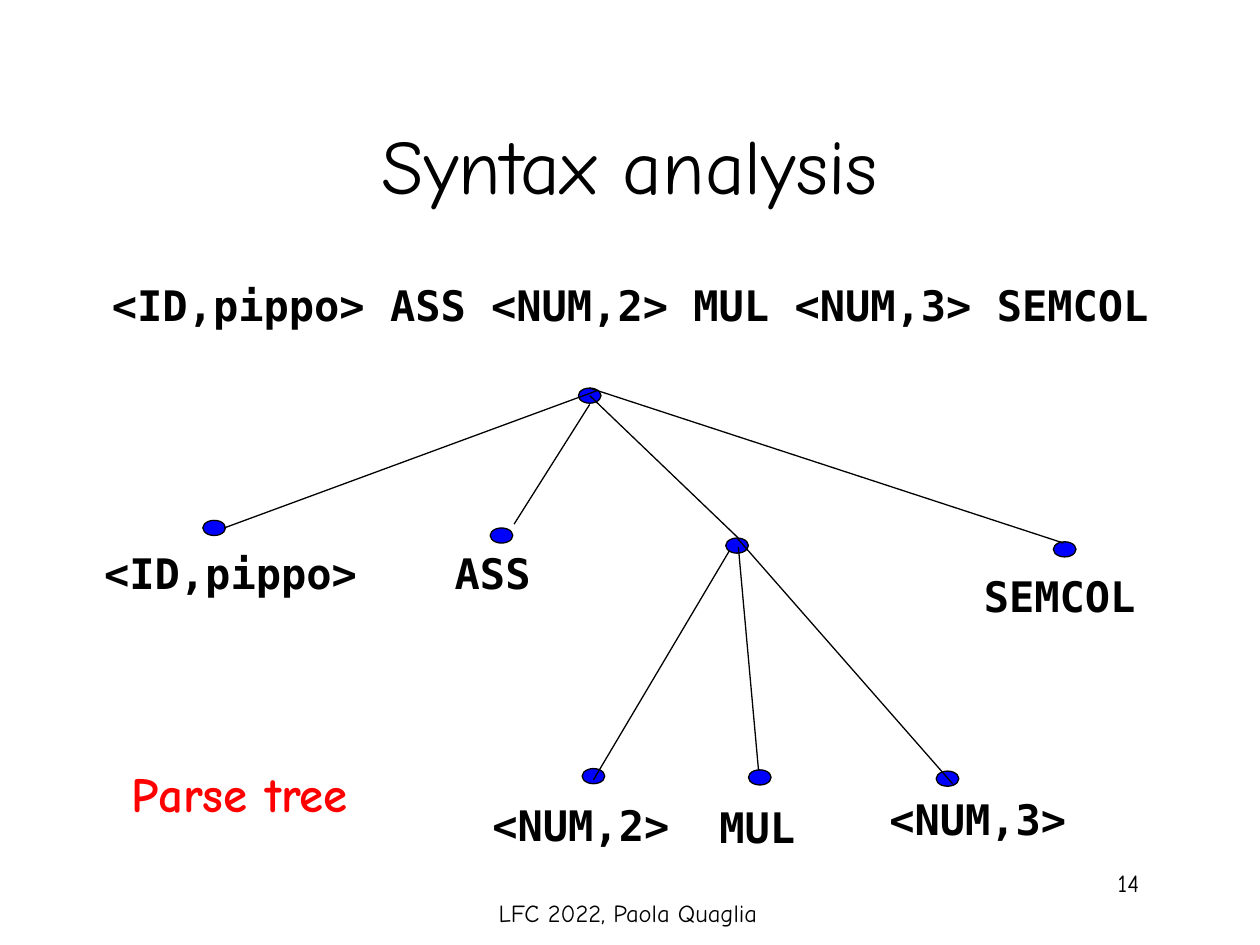
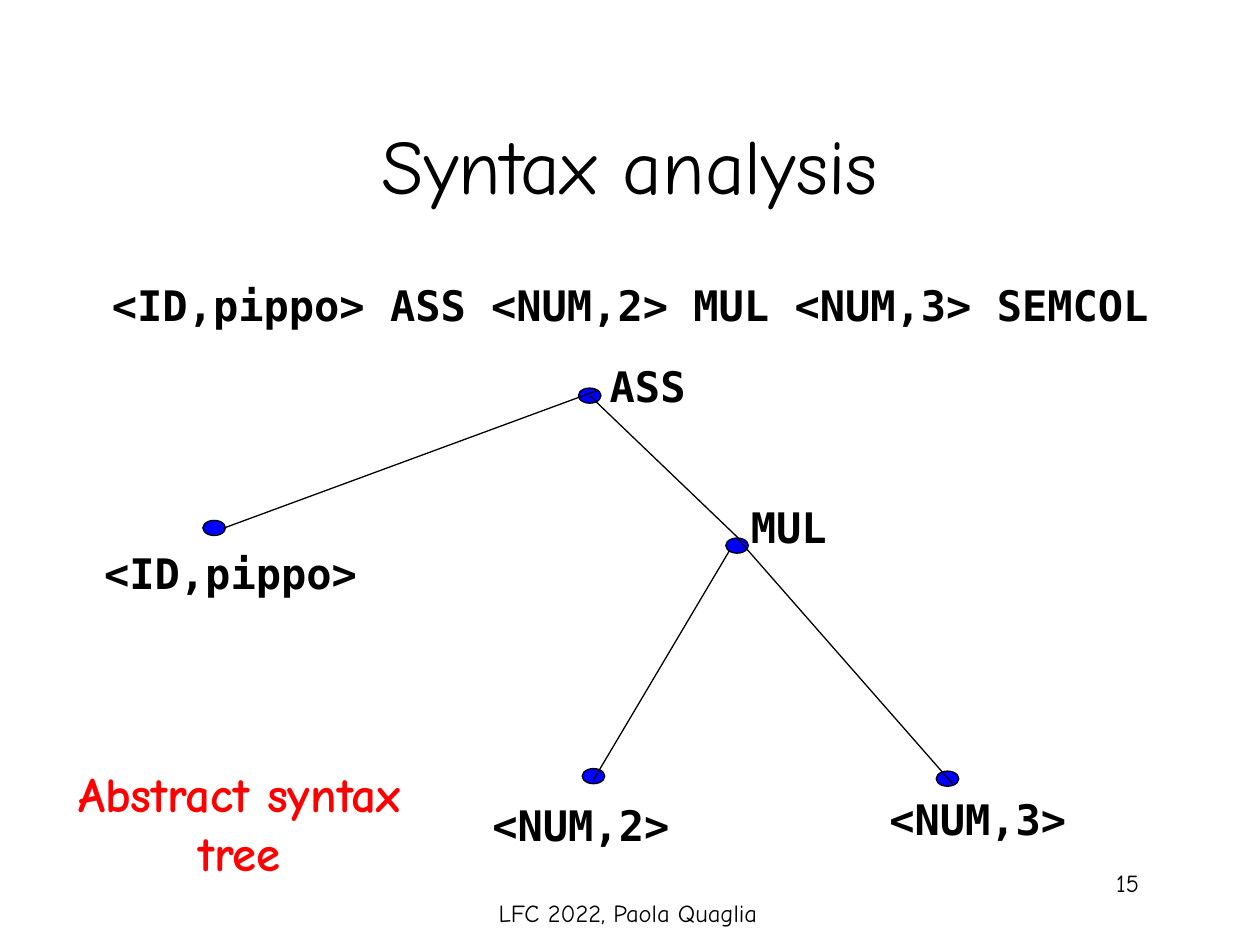
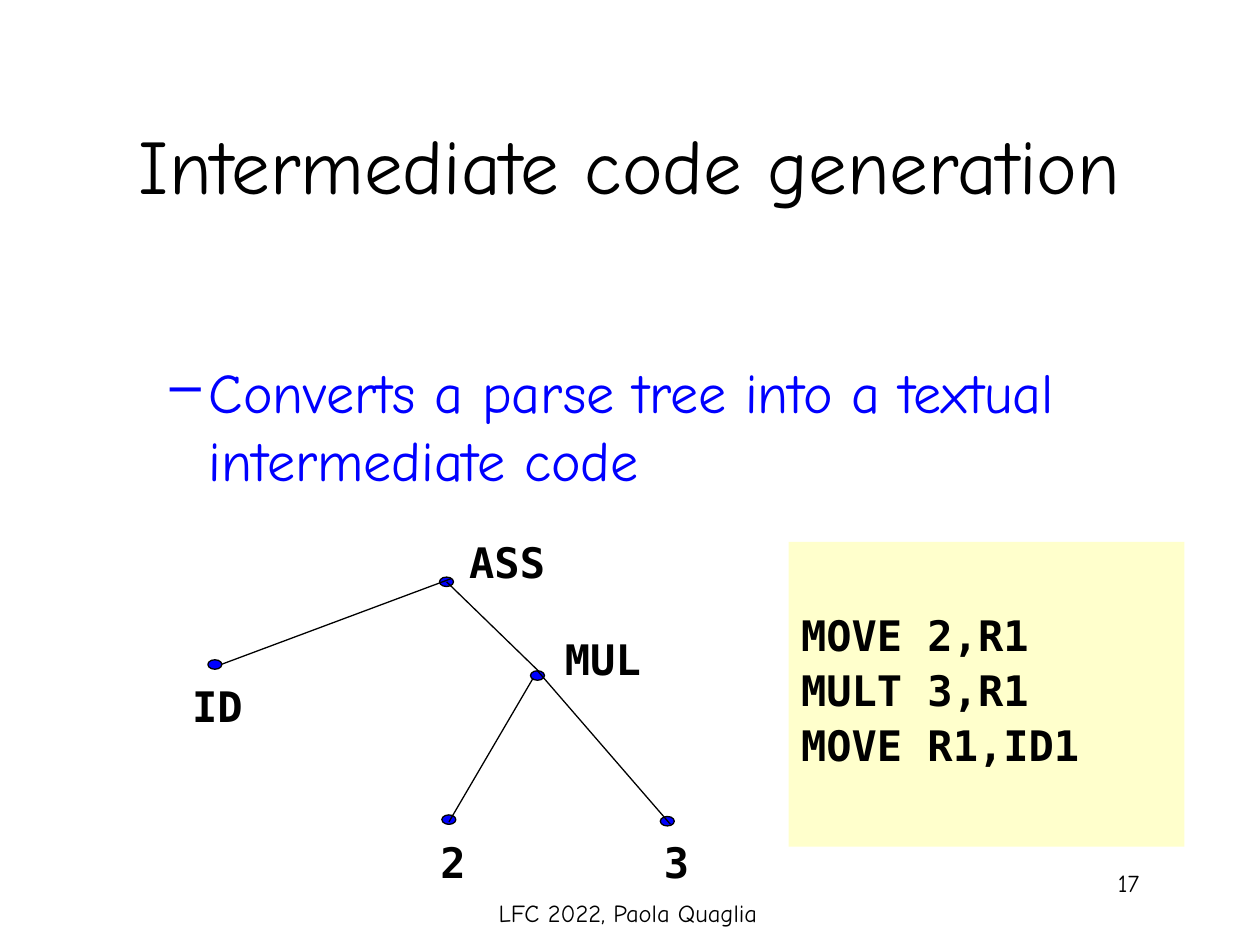
"""Build three slides on syntax trees and intermediate code."""
from lxml import etree
from pptx import Presentation
from pptx.dml.color import RGBColor
from pptx.enum.shapes import MSO_CONNECTOR, MSO_SHAPE
from pptx.enum.text import MSO_ANCHOR, PP_ALIGN
from pptx.oxml.ns import qn
from pptx.util import Inches, Pt

LEFT, CENTER, RIGHT = PP_ALIGN.LEFT, PP_ALIGN.CENTER, PP_ALIGN.RIGHT
TOP, MIDDLE = MSO_ANCHOR.TOP, MSO_ANCHOR.MIDDLE
OVAL, RECT, STRAIGHT = MSO_SHAPE.OVAL, MSO_SHAPE.RECTANGLE, MSO_CONNECTOR.STRAIGHT

BLACK, BLUE, RED, CREAM = "000000", "0000FF", "FF0000", "FFFFCC"
HAND, MONO = "Comic Neue", "DejaVu Sans Mono"
FOOTER = "LFC 2022, Paola Quaglia"
TOKENS = "<ID,pippo> ASS <NUM,2> MUL <NUM,3> SEMCOL"
NODE_SIZE = (0.18, 0.12)
LABEL_HEIGHT = 0.5

NODES = {
    "id": (1.61, 4.13),
    "root": (4.59, 3.08),
    "product": (5.76, 4.27),
    "num3": (7.43, 6.12),
    "num2": (4.62, 6.1),
    "mul": (5.94, 6.11),
    "semcol": (8.36, 4.3),
    "ass": (3.89, 4.19),
}
EDGES = {
    "id": ((1.78, 4.19), (4.74, 3.1)),
    "num2": ((4.71, 6.19), (5.79, 4.37)),
    "ass": ((4.08, 4.16), (4.68, 3.21)),
    "product": ((5.87, 4.28), (4.68, 3.14)),
    "semcol": ((8.44, 4.31), (4.68, 3.08)),
    "num3": ((7.56, 6.22), (5.85, 4.27)),
    "mul": ((6.02, 6.11), (5.86, 4.34)),
}
ABSTRACT = ("id", "root", "product", "num3", "num2")
OPERANDS = [
    ("<ID,pippo>", 0, 4.3, 3.16),
    ("<NUM,3>", 6.42, 6.25, 2.18),
    ("<NUM,2>", 3.27, 6.3, 2.18),
]
PARSE_LABELS = OPERANDS + [
    ("ASS", 2.57, 4.3, 2.18),
    ("SEMCOL", 7.07, 4.48, 2.18),
    ("MUL", 4.67, 6.31, 2.18),
]
ABSTRACT_LABELS = OPERANDS + [
    ("ASS", 3.8, 2.81, 2.18),
    ("MUL", 4.92, 3.93, 2.18),
]
SMALL_LABELS = [
    ("ID", 0, 5.35, 2.95),
    ("3", 4.1, 6.59, 2.04),
    ("ASS", 3.1, 4.21, 1.35),
    ("2", 2.67, 6.59, 1.35),
    ("MUL", 3.86, 4.98, 1.35),
]
FULL_SIZE = ((0, 0), (0, 0), (1, 1))
SMALL = ((1.61, 3.08), (1.65, 4.58), (0.617, 0.625))
SYNTAX_SLIDES = [
    ("14", tuple(NODES), PARSE_LABELS, "Parse tree", 0.57),
    ("15", ABSTRACT, ABSTRACT_LABELS, "Abstract syntax tree", 1.04),
]
SUMMARY = "Converts a parse tree into a textual intermediate code"
CODE = ["MOVE 2,R1", "MULT 3,R1", "MOVE R1,ID1"]


def rgb(value):
    return RGBColor.from_string(value)


def inches(values):
    return [Inches(v) for v in values]


def style(p, size, font, color=BLACK, bold=False, align=LEFT):
    p.alignment = align
    p.font.size, p.font.name, p.font.bold = Pt(size), font, bold
    p.font.color.rgb = rgb(color)


def indent(p, margin, first=0, bullet=None):
    pPr = p._p.get_or_add_pPr()
    pPr.set("marL", str(Inches(margin)))
    pPr.set("indent", str(Inches(first)))
    if bullet:
        bu = etree.Element(qn("a:buChar"), char=bullet)
        pPr.insert_element_before(bu, "a:tabLst", "a:defRPr", "a:extLst")


def add_text(s, box, text, size, font, color=BLACK, bold=False, align=LEFT,
             anchor=TOP, inset=0.05):
    tf = s.shapes.add_textbox(*inches(box)).text_frame
    tf.word_wrap, tf.vertical_anchor, tf.margin_top = True, anchor, Inches(inset)
    p = tf.paragraphs[0]
    p.text = text
    style(p, size, font, color, bold, align)
    return p


def add_token(s, box, text, align=CENTER):
    indent(add_text(s, box, text, 24, MONO, bold=True, align=align), 0.5)


def add_slide(prs, title, number):
    s = prs.slides.add_slide(prs.slide_layouts[6])
    add_text(s, (0.75, 0.67, 8.5, 1.25), title, 44, HAND, align=CENTER, anchor=MIDDLE)
    add_text(s, (7.06, 6.84, 2.08, 0.5), number, 14, HAND, align=RIGHT)
    add_text(s, (3.4, 6.84, 3.17, 0.5), FOOTER, 14, HAND, align=CENTER, inset=0.29)
    return s


def add_tree(s, names, labels, frame=FULL_SIZE):
    base, start, scale = frame

    def place(point):
        return inches(o + k * (v - b) for v, b, o, k in zip(point, base, start, scale))

    size = inches(v * k for v, k in zip(NODE_SIZE, scale))
    for name in names:
        sp = s.shapes.add_shape(OVAL, *place(NODES[name]), *size)
        sp.shadow.inherit = False
        sp.fill.solid()
        sp.fill.fore_color.rgb = rgb(BLUE)
        sp.line.color.rgb, sp.line.width = rgb(BLACK), Pt(0.75)
    for text, *box in labels:
        add_token(s, (*box, LABEL_HEIGHT), text)
    for child, (begin, end) in EDGES.items():
        if child in names:
            line = s.shapes.add_connector(STRAIGHT, *place(begin), *place(end))
            line.line.color.rgb, line.line.width = rgb(BLACK), Pt(0.75)
            etree.SubElement(line._element.spPr, qn("a:effectLst"))


def add_code(s, box, lines):
    sp = s.shapes.add_shape(RECT, *inches(box))
    sp.shadow.inherit = False
    sp.fill.solid()
    sp.fill.fore_color.rgb = rgb(CREAM)
    sp.line.fill.background()
    tf = sp.text_frame
    tf.word_wrap, tf.vertical_anchor, tf.margin_top = True, TOP, Inches(0.58)
    for i, text in enumerate(lines):
        p = tf.add_paragraph() if i else tf.paragraphs[0]
        p.text = text
        style(p, 24, MONO, bold=True)
        p.line_spacing, p.space_before = 0.9, Pt(5.7 if i else 0)


def main():
    prs = Presentation()
    prs.slide_width, prs.slide_height = inches((10, 7.5))
    for number, names, labels, caption, height in SYNTAX_SLIDES:
        s = add_slide(prs, "Syntax analysis", number)
        add_token(s, (0.29, 2.17, 8.96, 0.65), TOKENS, LEFT)
        add_tree(s, names, labels)
        add_text(s, (0.52, 6.01, 2.76, height), caption, 28, HAND, RED, True, CENTER)
    s = add_slide(prs, "Intermediate code generation", "17")
    p = add_text(s, (0.75, 2.17, 7.74, 2.01), SUMMARY, 32, HAND, BLUE, inset=0.67)
    indent(p, 0.81, -0.31, "–")
    add_code(s, (6.26, 4.3, 3.14, 2.42), CODE)
    add_tree(s, ABSTRACT, SMALL_LABELS, SMALL)
    prs.save("out.pptx")


main()
